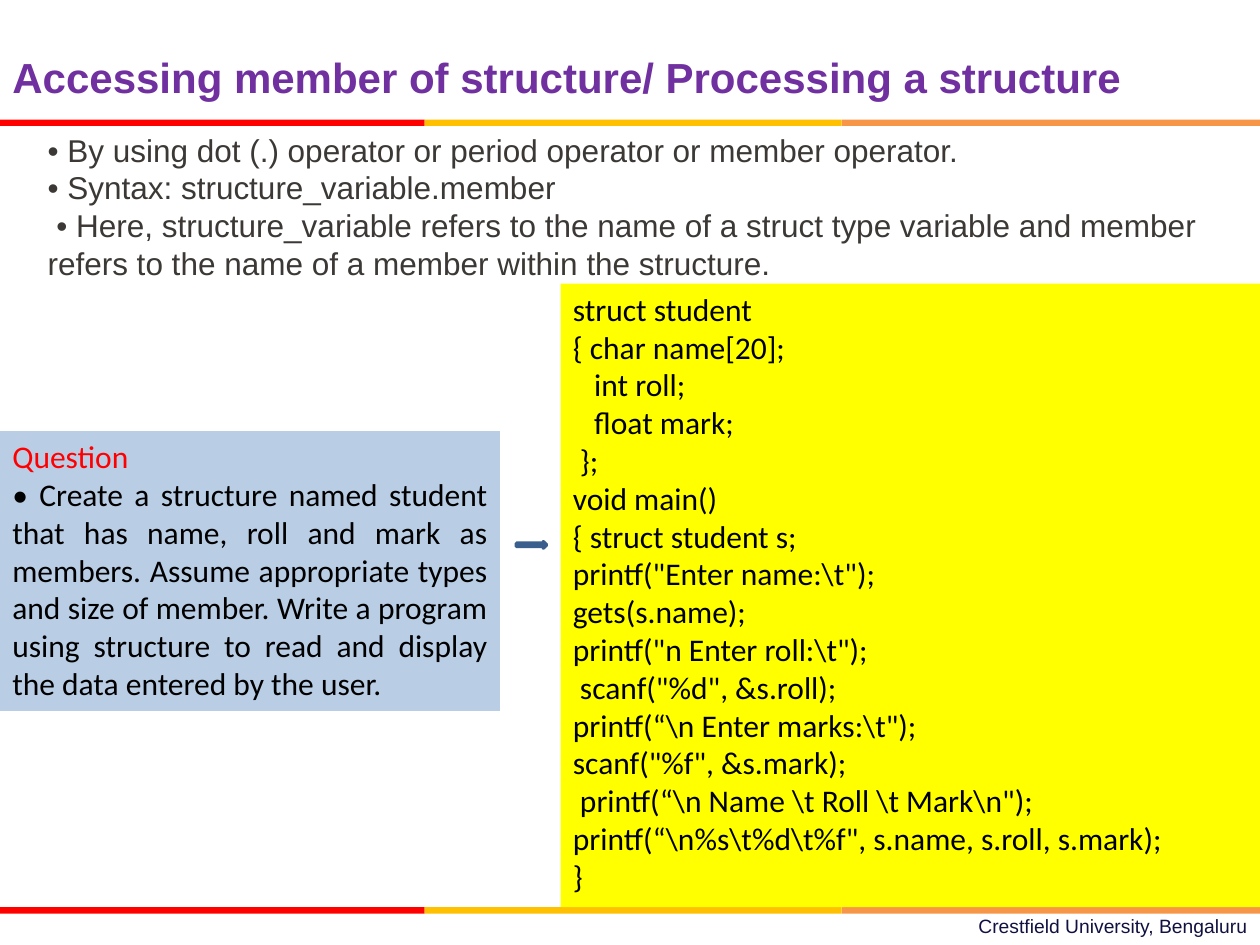
from dataclasses import dataclass
from typing import Optional

from pptx import Presentation
from pptx.dml.color import RGBColor
from pptx.enum.shapes import MSO_SHAPE
from pptx.enum.text import MSO_ANCHOR, PP_ALIGN
from pptx.util import Cm, Pt

RECTANGLE, RIGHT_ARROW = MSO_SHAPE.RECTANGLE, MSO_SHAPE.RIGHT_ARROW
LEFT, RIGHT, JUSTIFY = PP_ALIGN.LEFT, PP_ALIGN.RIGHT, PP_ALIGN.JUSTIFY
TOP = MSO_ANCHOR.TOP


@dataclass(frozen=True)
class Theme:
    heading_font: str = "Arial"
    body_font: str = "Calibri"
    title_size: int = 24
    body_size: int = 18
    footer_size: int = 11
    title: str = "7030A0"
    notes: str = "3B3835"
    footer: str = "101141"
    black: str = "000000"
    red: str = "FF0000"
    amber: str = "FFC000"
    orange: str = "F79646"
    question_fill: str = "B9CDE5"
    code_fill: str = "FFFF00"
    arrow_fill: str = "4F81BD"
    arrow_line: str = "3A5F8C"


@dataclass(frozen=True)
class Line:
    text: str
    color: str
    align: PP_ALIGN = LEFT
    indent: float = 0


@dataclass(frozen=True)
class Panel:
    left: float
    top: float
    width: float
    height: float
    lines: list[Line]
    font: str
    size: int
    bold: bool = False
    fill: Optional[str] = None


THEME = Theme()
prs = Presentation()
prs.slide_width, prs.slide_height = Cm(25.4), Cm(19.05)
slide = prs.slides.add_slide(prs.slide_layouts[6])


def add_block(kind: MSO_SHAPE, left: float, top: float, width: float,
              height: float, fill: str):
    block = slide.shapes.add_shape(kind, Cm(left), Cm(top), Cm(width), Cm(height))
    block.shadow.inherit = False
    block.fill.solid()
    block.fill.fore_color.rgb = RGBColor.from_string(fill)
    block.line.fill.background()
    return block


def add_panel(panel: Panel) -> None:
    box = (panel.left, panel.top, panel.width, panel.height)
    if panel.fill:
        holder = add_block(RECTANGLE, *box, panel.fill)
    else:
        holder = slide.shapes.add_textbox(*map(Cm, box))
    frame = holder.text_frame
    frame.word_wrap = True
    frame.vertical_anchor = TOP
    frame.text = "\n".join(line.text for line in panel.lines)
    for paragraph, line in zip(frame.paragraphs, panel.lines):
        paragraph.alignment = line.align
        if line.indent:
            paragraph._p.get_or_add_pPr().set("marL", str(Cm(line.indent)))
        for run in paragraph.runs:
            run.font.name = panel.font
            run.font.size = Pt(panel.size)
            run.font.bold = panel.bold
            run.font.color.rgb = RGBColor.from_string(line.color)


def add_stripe(top: float) -> None:
    edges = (0, 8.56, 16.97, 25.4)
    colors = (THEME.red, THEME.amber, THEME.orange)
    for start, end, color in zip(edges, edges[1:], colors):
        add_block(RECTANGLE, start, top, end - start, 0.13, color)


# Stripes below the title and above the footer
for stripe_top in (2.41, 18.29):
    add_stripe(stripe_top)

# Wording
footer = [Line("Crestfield University, Bengaluru", THEME.footer, RIGHT)]
title = [Line("Accessing member of structure/ Processing a structure ", THEME.title)]
notes = [Line(text, THEME.notes) for text in (
    "• By using dot (.) operator or period operator or member operator. ",
    "• Syntax: structure_variable.member",
    " • Here, structure_variable refers to the name of a struct type variable "
    "and member refers to the name of a member within the structure.\u00a0",
)]
question = [
    Line("Question ", THEME.red),
    Line("• Create a structure named student that has name, roll and mark as "
         "members. Assume appropriate types and size of member. Write a program "
         "using structure to read and display the data entered by the user.",
         THEME.black, JUSTIFY),
]
FIELD_INDENT = 0.43
code = [Line(text, THEME.black, indent=indent) for text, indent in (
    ("struct student ", 0),
    ("{ char name[20]; ", 0),
    ("int roll;", FIELD_INDENT),
    ("float mark;", FIELD_INDENT),
    (" }; ", 0),
    ("void main() ", 0),
    ("{ struct student s; ", 0),
    ('printf("Enter name:\\t"); ', 0),
    ("gets(s.name); ", 0),
    ('printf("n Enter roll:\\t");', 0),
    (' scanf("%d", &s.roll); ', 0),
    ('printf(“\\n Enter marks:\\t"); ', 0),
    ('scanf("%f", &s.mark);', 0),
    (' printf(“\\n Name \\t Roll \\t Mark\\n"); ', 0),
    ('printf(“\\n%s\\t%d\\t%f", s.name, s.roll, s.mark);', 0),
    ("}", 0),
)]

# Text panels
for text_panel in (
    Panel(9.09, 18.31, 16.31, 0.74, footer, THEME.heading_font, THEME.footer_size),
    Panel(0.71, 2.51, 24.1, 3.33, notes, THEME.heading_font, THEME.body_size),
    Panel(0, 0.91, 22.91, 1.27, title, THEME.heading_font, THEME.title_size, bold=True),
    Panel(0, 8.69, 10.08, 5.64, question, THEME.body_font, THEME.body_size,
          fill=THEME.question_fill),
    Panel(11.3, 5.72, 14.1, 12.57, code, THEME.body_font, THEME.body_size,
          fill=THEME.code_fill),
):
    add_panel(text_panel)

# Arrow from the question to the code
arrow = add_block(RIGHT_ARROW, 10.41, 10.92, 0.61, 0.13, THEME.arrow_fill)
arrow.line.color.rgb = RGBColor.from_string(THEME.arrow_line)
arrow.line.width = Pt(2)

prs.save("out.pptx")
